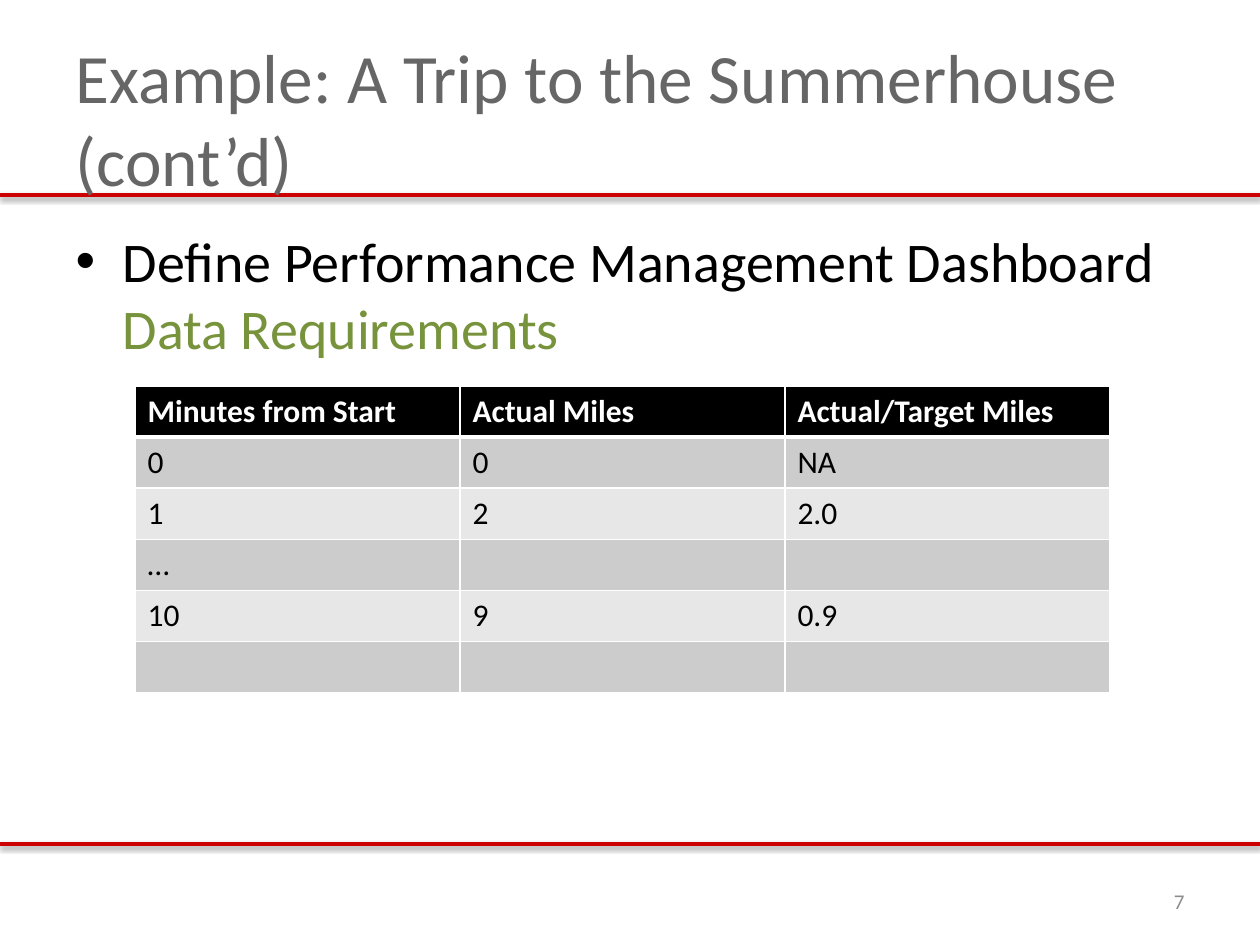
from dataclasses import dataclass

from lxml import etree
from pptx import Presentation
from pptx.dml.color import RGBColor
from pptx.enum.shapes import MSO_CONNECTOR
from pptx.enum.text import MSO_ANCHOR, MSO_AUTO_SIZE, PP_ALIGN
from pptx.oxml import parse_xml
from pptx.oxml.ns import nsdecls, qn
from pptx.util import Pt

STRAIGHT = MSO_CONNECTOR.STRAIGHT
LEFT, RIGHT = PP_ALIGN.LEFT, PP_ALIGN.RIGHT
TOP, MIDDLE = MSO_ANCHOR.TOP, MSO_ANCHOR.MIDDLE
NO_FIT = MSO_AUTO_SIZE.NONE
PX = 914400 / 126


@dataclass(frozen=True)
class Theme:
    font: str = "Calibri"
    title: str = "666666"
    text: str = "000000"
    accent: str = "77933C"
    number: str = "8C8C8C"
    rule: str = "CC0000"
    white: str = "FFFFFF"
    bands: tuple = ("CCCCCC", "E7E7E7")
    title_size: float = 39.6
    body_size: float = 32
    table_size: float = 18
    number_size: float = 12


def px(n):
    return round(n * PX)


def rgb(color):
    return RGBColor.from_string(color)


def assign(obj, values):
    for name, value in values.items():
        setattr(obj, name, value)


class Deck:
    def __init__(self, theme):
        self.theme = theme
        self.prs = Presentation()
        assign(self.prs, {"slide_width": px(1260), "slide_height": px(945)})
        self.s = self.prs.slides.add_slide(self.prs.slide_layouts[1])

    def run(self, p, text, size, color, bold=False):
        r = p.add_run()
        r.text = text
        assign(r.font, {"name": self.theme.font, "size": Pt(size), "bold": bold})
        r.font.color.rgb = rgb(color)

    def place(self, sp, box, anchor):
        assign(sp, dict(zip(("left", "top", "width", "height"), map(px, box))))
        tf = sp.text_frame
        assign(tf, {"word_wrap": True, "auto_size": NO_FIT, "vertical_anchor": anchor})
        return tf.paragraphs[0]

    def title(self, text, box):
        p = self.place(self.s.shapes.title, box, MIDDLE)
        p.alignment = LEFT
        self.run(p, text, self.theme.title_size, self.theme.title)

    def bullet(self, parts, box):
        p = self.place(self.s.placeholders[1], box, TOP)
        p.space_before = Pt(0)
        pPr = p._p.get_or_add_pPr()
        pPr.set("marL", str(px(47)))
        pPr.set("indent", str(px(-47)))
        etree.SubElement(pPr, qn("a:buChar")).set("char", "•")
        for text, color in parts:
            self.run(p, text, self.theme.body_size, color)

    def number(self, text, box):
        p = self.place(self.s.shapes.add_textbox(0, 0, 0, 0), box, MIDDLE)
        p.alignment = RIGHT
        self.run(p, text, self.theme.number_size, self.theme.number)

    def rule(self, y):
        line = self.s.shapes.add_connector(STRAIGHT, 0, px(y), px(1260), px(y))
        line.line.color.rgb = rgb(self.theme.rule)
        line.line.width = Pt(2)
        line._element.spPr.append(parse_xml(
            f'<a:effectLst {nsdecls("a")}><a:outerShdw blurRad="40000" dist="20000" '
            'dir="5400000" rotWithShape="0"><a:srgbClr val="000000">'
            '<a:alpha val="38000"/></a:srgbClr></a:outerShdw></a:effectLst>'))
        self.s.shapes._spTree.insert(2, line._element)

    def borders(self, cell, widths):
        tcPr = cell._tc.get_or_add_tcPr()
        for i, (side, width) in enumerate(widths.items()):
            tcPr.insert(i, parse_xml(
                f'<a:ln{side} {nsdecls("a")} w="{Pt(width)}"><a:solidFill>'
                f'<a:srgbClr val="{self.theme.white}"/></a:solidFill></a:ln{side}>'))

    def table(self, rows, box):
        th = self.theme
        table = self.s.shapes.add_table(len(rows), len(rows[0]), *map(px, box)).table
        for i, row in enumerate(rows):
            head = i == 0
            fill = th.text if head else th.bands[(i - 1) % 2]
            widths = {"L": 1, "R": 1, "T": 3 if i == 1 else 1, "B": 3 if head else 1}
            for j, text in enumerate(row):
                cell = table.cell(i, j)
                cell.fill.solid()
                cell.fill.fore_color.rgb = rgb(fill)
                self.borders(cell, widths)
                if text:
                    self.run(cell.text_frame.paragraphs[0], text, th.table_size,
                             th.white if head else th.text, head)


def main():
    theme = Theme()
    deck = Deck(theme)
    for y in (195, 844):
        deck.rule(y)
    deck.title("Example: A Trip to the Summerhouse (cont’d)", (63, 38, 1134, 158))
    deck.bullet([("Define Performance Management Dashboard ", theme.text),
                 ("Data Requirements", theme.accent)], (63, 220, 1134, 624))
    deck.number("7", (903, 876, 294, 50))
    deck.table([("Minutes from Start", "Actual Miles", "Actual/Target Miles"),
                ("0", "0", "NA"),
                ("1", "2", "2.0"),
                ("…", "", ""),
                ("10", "9", "0.9"),
                ("", "", "")], (135, 386, 975, 306))
    deck.prs.save("out.pptx")


if __name__ == "__main__":
    main()
